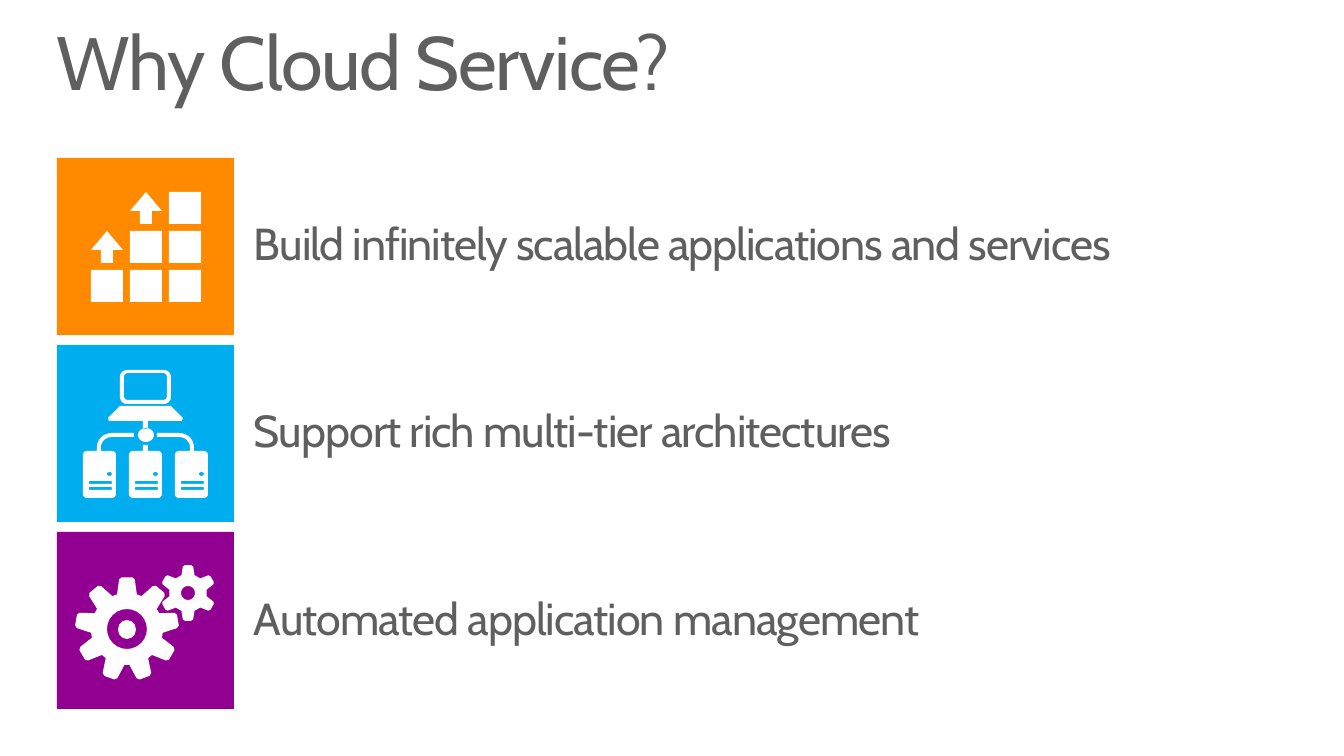
from math import cos, sin, radians
from pptx import Presentation
from pptx.dml.color import RGBColor
from pptx.enum.shapes import MSO_SHAPE
from pptx.enum.text import MSO_ANCHOR
from pptx.util import Pt

# Content
TITLE = "Why Cloud Service?"
ROWS = [
    ("Build infinitely scalable applications and services", "orange"),
    ("Support rich multi-tier architectures", "blue"),
    ("Automated application management", "purple"),
]
COLORS = {"orange": "FF8A00", "blue": "00AEEF", "purple": "910091",
          "white": "FFFFFF", "gray": "5F5F5F"}
FONT = "Cabin"
LEFT, TOP, TILE, PITCH = 57, 158, 177, 187

# Gears: center, teeth, hole radius, tooth outline as (radius, degrees)
GEARS = [
    ((127, 629), 9, 20,
     [(36, -16), (50, -9), (52, -6), (52, 6), (50, 9), (36, 16)]),
    ((188, 593), 6, 7,
     [(19, -20), (27, -11), (28, -6), (28, 6), (27, 11), (19, 20)]),
]

# Slide
SCALE = 914400 / 100.8


def px(n):
    return round(n * SCALE)


deck = Presentation()
deck.slide_width, deck.slide_height = px(1344), px(756)
slide = deck.slides.add_slide(deck.slide_layouts[6])
shapes = slide.shapes


def color(name):
    return RGBColor.from_string(COLORS[name])


def paint(shape, name):
    shape.shadow.inherit = False
    shape.fill.solid()
    shape.fill.fore_color.rgb = color(name)
    shape.line.fill.background()


def preset(kind, x, y, w, h, name):
    paint(shapes.add_shape(kind, px(x), px(y), px(w), px(h)), name)


def label(text, x, y, w, h, size, gap, anchor):
    frame = shapes.add_textbox(px(x), px(y), px(w), px(h)).text_frame
    frame.word_wrap = True
    frame.vertical_anchor = anchor
    frame.margin_left = frame.margin_right = 0
    frame.margin_top = frame.margin_bottom = 0
    para = frame.paragraphs[0]
    para.line_spacing = 0.9
    run = para.add_run()
    run.text = text
    run.font.name = FONT
    run.font.size = Pt(size)
    run.font.color.rgb = color("gray")
    run._r.get_or_add_rPr().set("spc", str(gap))


# Outlines: each one is a list of points in px
def arc(cx, cy, rx, ry, start, end, steps=8):
    turns = [radians(start + (end - start) * i / steps)
             for i in range(steps + 1)]
    return [(cx + rx * cos(t), cy + ry * sin(t)) for t in turns]


def oval(x, y, w, h):
    return arc(x + w / 2, y + h / 2, w / 2, h / 2, 0, 360, 24)


def box(x, y, w, h, r=0):
    if not r:
        return [(x, y), (x + w, y), (x + w, y + h), (x, y + h)]
    right, low = x + w - r, y + h - r
    return (arc(x + r, y + r, r, r, 180, 270) + arc(right, y + r, r, r, 270, 360)
            + arc(right, low, r, r, 0, 90) + arc(x + r, low, r, r, 90, 180))


def draw(outlines):
    pen = None
    for points in outlines:
        first, *rest = [(px(x), px(y)) for x, y in points]
        if pen is None:
            pen = shapes.build_freeform(*first)
        else:
            pen.move_to(*first)
        pen.add_line_segments(rest, close=True)
    paint(pen.convert_to_shape(), "white")


# Tiles, title and labels
for i, (text, name) in enumerate(ROWS):
    preset(MSO_SHAPE.RECTANGLE, LEFT, TOP + i * PITCH, TILE, TILE, name)
label(TITLE, LEFT, 25, 1229, 83, 54, -100, MSO_ANCHOR.TOP)
for i, (text, name) in enumerate(ROWS):
    label(text, 254, TOP + i * PITCH, 1032, TILE, 32, -70, MSO_ANCHOR.MIDDLE)


# Growth icon: a stair of squares with an arrow on each step
def arrow(x, y):
    return [(x + 16, y), (x + 32, y + 19), (x + 22, y + 19), (x + 22, y + 32),
            (x + 10, y + 32), (x + 10, y + 19), (x, y + 19)]


stair = []
for row in range(3):
    for col in range(3):
        x, y = 91 + col * 39, 192 + row * 39
        if row + col == 1:
            stair.append(arrow(x, y))
        elif row + col > 1:
            stair.append(box(x, y, 32, 32))
draw(stair)

# Network icon: laptop, hub, arms and three servers
arm = ([(97, 451)] + arc(112, 447, 15, 14, 180, 270) + [(134, 433), (134, 437)]
       + arc(112, 447, 11, 10, 270, 180) + [(101, 451)])
net = [
    box(120, 370, 51, 34, 7), box(124, 373, 43, 27, 4),
    [(120, 406), (171, 406), (183, 418), (182, 421), (109, 421), (108, 418)],
    box(143, 421, 5, 8), oval(138, 428, 16, 14), box(143, 445, 5, 6),
    arm, [(291 - x, y) for x, y in arm],
]
for i in range(3):
    x = 83 + i * 46
    net += [box(x, 451, 33, 47, 4), oval(x + 24, 472, 5, 4),
            box(x + 6, 481, 23, 3, 1), box(x + 6, 487, 23, 3, 1)]
draw(net)

# Gear icon
for (cx, cy), teeth, hole, tooth in GEARS:
    rim = []
    for i in range(teeth):
        for r, turn in tooth:
            t = radians(turn + i * 360 / teeth - 90)
            rim.append((cx + r * cos(t), cy + r * sin(t)))
    draw([rim, oval(cx - hole, cy - hole, 2 * hole, 2 * hole)])
preset(MSO_SHAPE.OVAL, 118, 620, 18, 19, "white")

deck.save("out.pptx")
